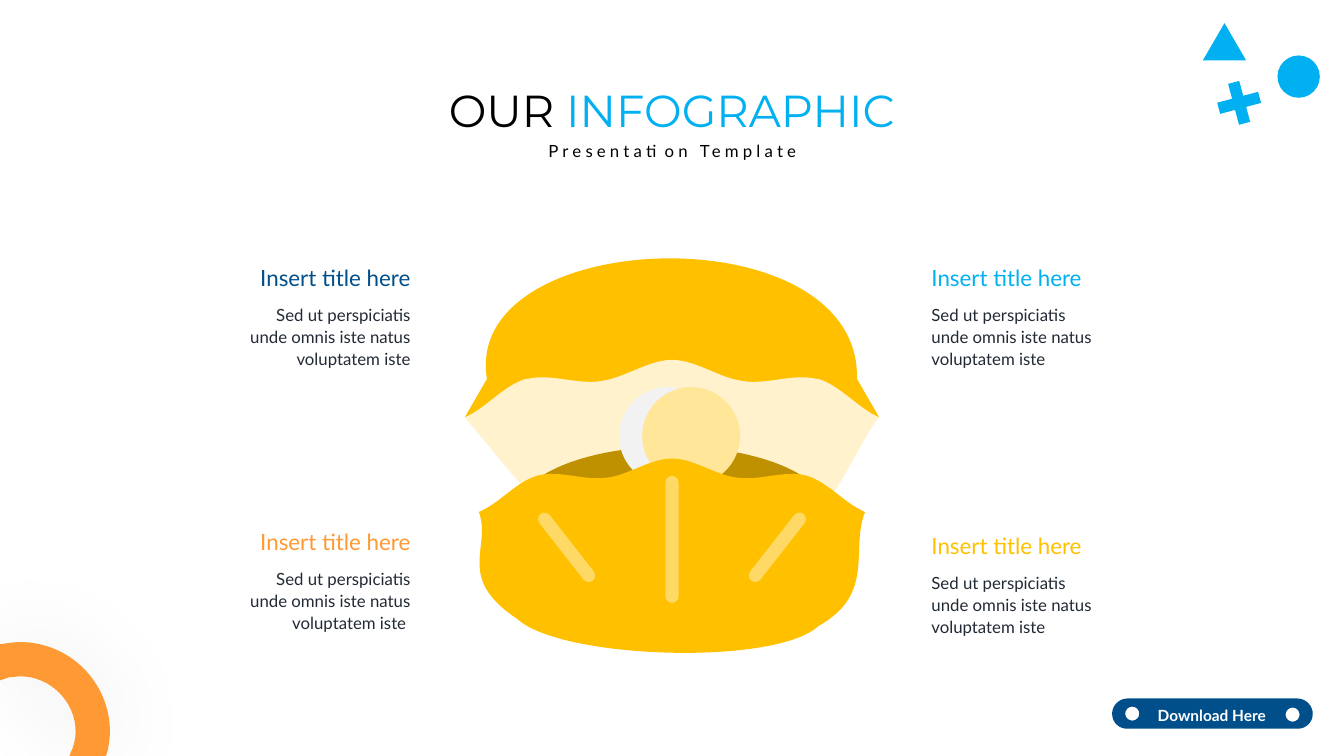
from lxml.etree import SubElement
from pptx import Presentation
from pptx.dml.color import RGBColor
from pptx.enum.shapes import MSO_SHAPE
from pptx.enum.text import MSO_AUTO_SIZE, PP_ALIGN
from pptx.oxml.ns import qn
from pptx.util import Inches, Pt

CENTER_X = 6.665
UNITS = 1000
YELLOW, BLUE, ORANGE, NAVY = "FFC000", "00B0F0", "FF9933", "004F8A"
BODY = "Sed ut perspiciatis unde omnis iste natus voluptatem iste"


def rgb(value):
    return RGBColor.from_string(value)


def pairs(seg):
    return list(zip(seg[::2], seg[1::2]))


def mirror(half):
    points = [pt for seg in half for pt in pairs(seg)]
    flipped = [(2 * CENTER_X - x, y) for x, y in reversed(points)][1:]
    return half + [sum(flipped[i:i + 3], ()) for i in range(0, len(flipped), 3)]


def circle(x, y, r):
    k = 0.55 * r
    return [(x, y - r),
            (x - k, y - r, x - r, y - k, x - r, y),
            (x - r, y + k, x - k, y + r, x, y + r),
            (x + k, y + r, x + r, y + k, x + r, y),
            (x + r, y - k, x + k, y - r, x, y - r)]


def paint(sp, color):
    sp.shadow.inherit = False
    sp.fill.solid()
    sp.fill.fore_color.rgb = rgb(color)
    sp.line.fill.background()
    return sp


def outline(s, x, y, w, h, color, *contours):
    left, top, right, bottom = (round(v * UNITS) for v in (x, y, x + w, y + h))
    fb = s.shapes.build_freeform(left, top, scale=Inches(1) / UNITS)
    fb.add_line_segments([(right, top), (right, bottom), (left, bottom)])
    sp = fb.convert_to_shape()
    curve = sp._element.spPr.find(".//" + qn("a:path"))
    for child in list(curve):
        curve.remove(child)
    for contour in contours:
        for i, seg in enumerate(contour):
            tag = "a:moveTo" if i == 0 else "a:lnTo" if len(seg) == 2 else "a:cubicBezTo"
            step = SubElement(curve, qn(tag))
            for px, py in pairs(seg):
                SubElement(step, qn("a:pt"), x=str(round(px * UNITS) - left),
                           y=str(round(py * UNITS) - top))
        SubElement(curve, qn("a:close"))
    return paint(sp, color)


def shape(s, kind, x, y, w, h, color, rotation=0, adj=None):
    sp = s.shapes.add_shape(kind, Inches(x), Inches(y), Inches(w), Inches(h))
    sp.rotation = rotation
    if adj is not None:
        sp.adjustments[0] = adj
    return paint(sp, color)


def text(s, x, y, w, h, runs, size, align=PP_ALIGN.LEFT, font="Lato",
         spacing=None, wrap=True, bold=None, tracking=None):
    tf = s.shapes.add_textbox(Inches(x), Inches(y), Inches(w), Inches(h)).text_frame
    tf.word_wrap = wrap
    tf.auto_size = MSO_AUTO_SIZE.SHAPE_TO_FIT_TEXT
    p = tf.paragraphs[0]
    p.alignment = align
    p.line_spacing = spacing
    for words, color in runs:
        r = p.add_run()
        r.text = words
        r.font.name = font
        r.font.size = Pt(size)
        r.font.bold = bold
        r.font.color.rgb = rgb(color)
        if tracking:
            r.font._element.set("spc", str(tracking * 100))


def glow(sp, color, alpha, blur):
    effects = sp._element.spPr.find(qn("a:effectLst"))
    shadow = SubElement(effects, qn("a:outerShdw"), blurRad=str(Pt(blur)),
                        dist="0", dir="0", algn="ctr", rotWithShape="0")
    clr = SubElement(shadow, qn("a:srgbClr"), val=color)
    SubElement(clr, qn("a:alpha"), val=str(alpha * 1000))


def burger(s):
    outline(s, 4.61, 2.56, 4.11, 1.58, YELLOW,
            [(8.72, 4.14), (8.5, 3.76), (8.54, 2.1, 4.58, 2.23, 4.83, 3.76), (4.61, 4.14)])
    wave = [(8.72, 4.14), (8.51, 4.05, 8.34, 3.83, 8.12, 3.76),
            (8.11, 3.76, 8.11, 3.76, 8.1, 3.76),
            (7.87, 3.7, 7.6, 3.82, 7.37, 3.78),
            (7.13, 3.75, 6.9, 3.57, CENTER_X, 3.57)]
    outline(s, 4.61, 3.57, 4.11, 1.42, "FFF2CC",
            mirror(wave) + [(5.32, 4.99), (8.22, 4.95), (8.31, 4.87, 8.63, 4.22, 8.72, 4.14)])
    lip = [(CENTER_X, 4.43), (7.34, 4.43, 7.91, 4.61, 8.12, 4.86),
           (8.11, 4.86, 8.11, 4.86, 8.1, 4.86),
           (7.87, 4.92, 7.6, 4.81, 7.37, 4.84),
           (7.13, 4.87, 6.9, 5.05, CENTER_X, 5.05)]
    outline(s, 5.22, 4.43, 2.89, 0.61, "BF9000", mirror(lip))
    for x, color in ((6.14, "F2F2F2"), (6.37, "FFE699")):
        shape(s, MSO_SHAPE.OVAL, x, 3.84, 0.97, 0.97, color)
    rim = [(8.58, 5.08), (8.37, 4.99, 8.21, 4.78, 8, 4.72),
           (7.79, 4.66, 7.54, 4.77, 7.32, 4.74),
           (7.1, 4.72, 6.89, 4.55, CENTER_X, 4.55)]
    base = [(4.88, 5.43, 4.51, 5.73, 5.13, 6.14),
            (5.56, 6.54, 7.69, 6.61, 8.12, 6.21),
            (8.69, 5.89, 8.43, 5.45, 8.58, 5.08)]
    outline(s, 4.75, 4.55, 3.83, 1.93, YELLOW, mirror(rim) + base)
    for offset, y, length, angle in ((0, 5.35, 1.26, 0), (1.045, 5.43, 0.84, 38),
                                     (-1.045, 5.43, 0.84, -38)):
        shape(s, MSO_SHAPE.ROUNDED_RECTANGLE, CENTER_X + offset - 0.065,
              y - length / 2, 0.13, length, "FFD966", angle, 0.5)


def callout(s, title_x, body_x, y, body_w, color, align, body=BODY):
    text(s, title_x, y, 1.7, 0.37, [("Insert title here", color)], 16, align, wrap=False)
    text(s, body_x, y + 0.38, body_w, 0.76, [(body, "222A35")], 12, align, spacing=1.1)


def decorations(s):
    shape(s, MSO_SHAPE.OVAL, 12.67, 0.55, 0.42, 0.42, BLUE)
    shape(s, MSO_SHAPE.ISOSCELES_TRIANGLE, 11.93, 0.23, 0.43, 0.37, BLUE)
    shape(s, MSO_SHAPE.CROSS, 12.08, 0.81, 0.42, 0.42, BLUE, -15, 0.364)
    ring = [(0.2, 6.37), (0.69, 6.37, 1.09, 6.77, 1.09, 7.26),
            (1.09, 7.32, 1.08, 7.38, 1.07, 7.44), (1.05, 7.5), (0.69, 7.5),
            (0.7, 7.47), (0.73, 7.41, 0.75, 7.33, 0.75, 7.26),
            (0.75, 6.96, 0.5, 6.71, 0.2, 6.71),
            (0.16, 6.71, 0.13, 6.72, 0.09, 6.72), (0, 6.75), (0, 6.39),
            (0.02, 6.39), (0.08, 6.38, 0.14, 6.37, 0.2, 6.37)]
    glow(outline(s, 0, 6.37, 1.09, 1.13, ORANGE, ring), "000000", 7, 65)


def button(s):
    pill = [(11.18, 6.93), (12.87, 6.93), (12.95, 6.93, 13.02, 7, 13.02, 7.08),
            (13.02, 7.17, 12.95, 7.23, 12.87, 7.23), (11.18, 7.23),
            (11.1, 7.23, 11.03, 7.17, 11.03, 7.08), (11.03, 7, 11.1, 6.93, 11.18, 6.93)]
    outline(s, 11.03, 6.93, 1.99, 0.3, NAVY,
            circle(12.82, 7.09, 0.07), circle(11.23, 7.08, 0.07), pill)
    text(s, 11.3, 6.92, 1.44, 0.3, [("Download Here", "FFFFFF")], 11,
         PP_ALIGN.CENTER, spacing=1.2, bold=True)


def main():
    prs = Presentation()
    prs.slide_width, prs.slide_height = Inches(13.33), Inches(7.5)
    s = prs.slides.add_slide(prs.slide_layouts[6])
    burger(s)
    callout(s, 2.47, 2.35, 2.57, 1.82, NAVY, PP_ALIGN.RIGHT)
    callout(s, 2.47, 2.35, 5.19, 1.82, ORANGE, PP_ALIGN.RIGHT, BODY + " ")
    callout(s, 9.14, 9.14, 2.57, 1.9, BLUE, PP_ALIGN.LEFT)
    callout(s, 9.14, 9.14, 5.23, 1.9, YELLOW, PP_ALIGN.LEFT)
    decorations(s)
    text(s, 3.78, 0.77, 5.77, 0.64, [("OUR ", "000000"), ("INFOGRAPHIC", BLUE)], 32,
         PP_ALIGN.CENTER, "Montserrat")
    text(s, 5.03, 1.31, 3.28, 0.32, [("Presentation Template", "000000")], 12,
         PP_ALIGN.CENTER, spacing=1.2, tracking=3)
    button(s)
    prs.save("out.pptx")


if __name__ == "__main__":
    main()
